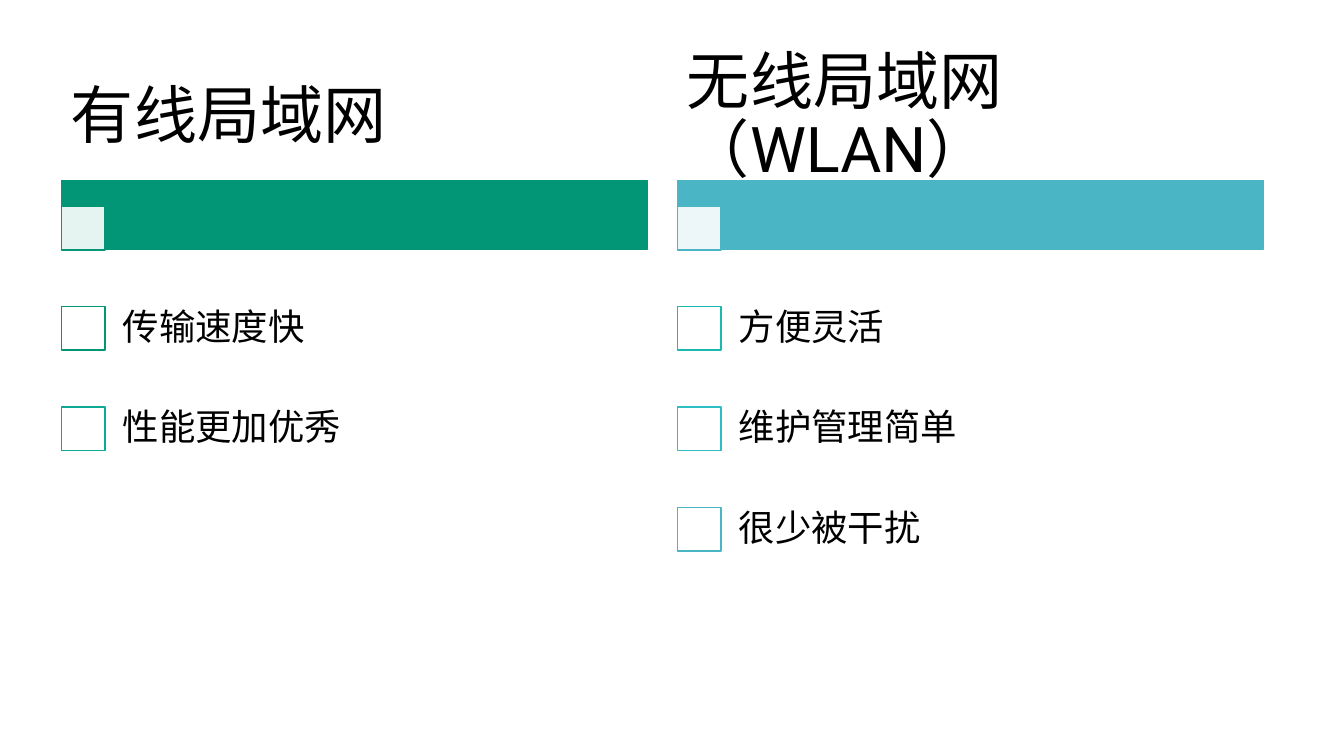
from lxml import etree
from pptx import Presentation
from pptx.dml.color import RGBColor
from pptx.enum.shapes import MSO_SHAPE
from pptx.enum.text import MSO_ANCHOR
from pptx.oxml.ns import qn
from pptx.util import Pt

RECTANGLE = MSO_SHAPE.RECTANGLE
MIDDLE = MSO_ANCHOR.MIDDLE

COLUMN_LEFT, COLUMN_PITCH, COLUMN_WIDTH = 44, 440, 418.5
TITLE_TOP, TITLE_HEIGHT = 40.3, 88.6
BAR_TOP, BAR_HEIGHT = 129, 49
SQUARE, TAB_TOP = 31, 147.6
ROW_TOP, ROW_PITCH = 198.6, 71.8
ITEM_INDENT = 29.3

COLUMNS = [
    ("有线局域网", "029676", [("传输速度快", "029676"), ("性能更加优秀", "0DA994")]),
    ("无线局域网（WLAN）", "4AB5C4",
     [("方便灵活", "1BB8B0"), ("维护管理简单", "2DBEC3"), ("很少被干扰", "4AB5C4")]),
]


def color(value):
    return RGBColor.from_string(value)


class SlideBuilder:
    font = "Roboto"
    text_color = "000000"

    def __init__(self, page):
        self.page = page

    def rectangle(self, left, top, width, height, fill, line, opacity=100):
        box = self.page.shapes.add_shape(RECTANGLE, Pt(left), Pt(top), Pt(width), Pt(height))
        box.shadow.inherit = False
        box.fill.solid()
        box.fill.fore_color.rgb = color(fill)
        box.line.color.rgb = color(line)
        box.line.width = Pt(1)
        if opacity < 100:
            fill_color = box.fill._xPr.find(qn("a:solidFill"))[0]
            etree.SubElement(fill_color, qn("a:alpha"), val=str(opacity * 1000))

    def text(self, left, top, width, height, words, size, side_inset, end_inset):
        box = self.page.shapes.add_textbox(Pt(left), Pt(top), Pt(width), Pt(height))
        frame = box.text_frame
        frame.word_wrap = True
        frame.vertical_anchor = MIDDLE
        frame.margin_left = frame.margin_right = Pt(side_inset)
        frame.margin_top = frame.margin_bottom = Pt(end_inset)
        para = frame.paragraphs[0]
        para.text = words
        para.line_spacing = 0.9
        para.font.name = self.font
        para.font.size = Pt(size)
        para.font.color.rgb = color(self.text_color)

    def column(self, left, title, accent, items):
        """Draw a title over a coloured bar, then one square and label per item."""
        self.rectangle(left, BAR_TOP, COLUMN_WIDTH, BAR_HEIGHT, accent, accent)
        self.rectangle(left, TAB_TOP, SQUARE, SQUARE, "FFFFFF", accent, opacity=90)
        self.text(left, TITLE_TOP, COLUMN_WIDTH, TITLE_HEIGHT, title, 45, 6.75, 4.5)
        for row, (label, outline) in enumerate(items):
            top = ROW_TOP + row * ROW_PITCH
            square_top = top + (ROW_PITCH - SQUARE) / 2
            self.rectangle(left, square_top, SQUARE, SQUARE, "FFFFFF", outline)
            self.text(left + ITEM_INDENT, top, COLUMN_WIDTH - ITEM_INDENT, ROW_PITCH,
                      label, 26, 14.4, 14.4)


def main():
    deck = Presentation()
    deck.slide_width, deck.slide_height = Pt(960), Pt(540)
    page = deck.slides.add_slide(deck.slide_layouts[6])
    builder = SlideBuilder(page)
    for index, (title, accent, items) in enumerate(COLUMNS):
        builder.column(COLUMN_LEFT + index * COLUMN_PITCH, title, accent, items)
    deck.save("out.pptx")


if __name__ == "__main__":
    main()
